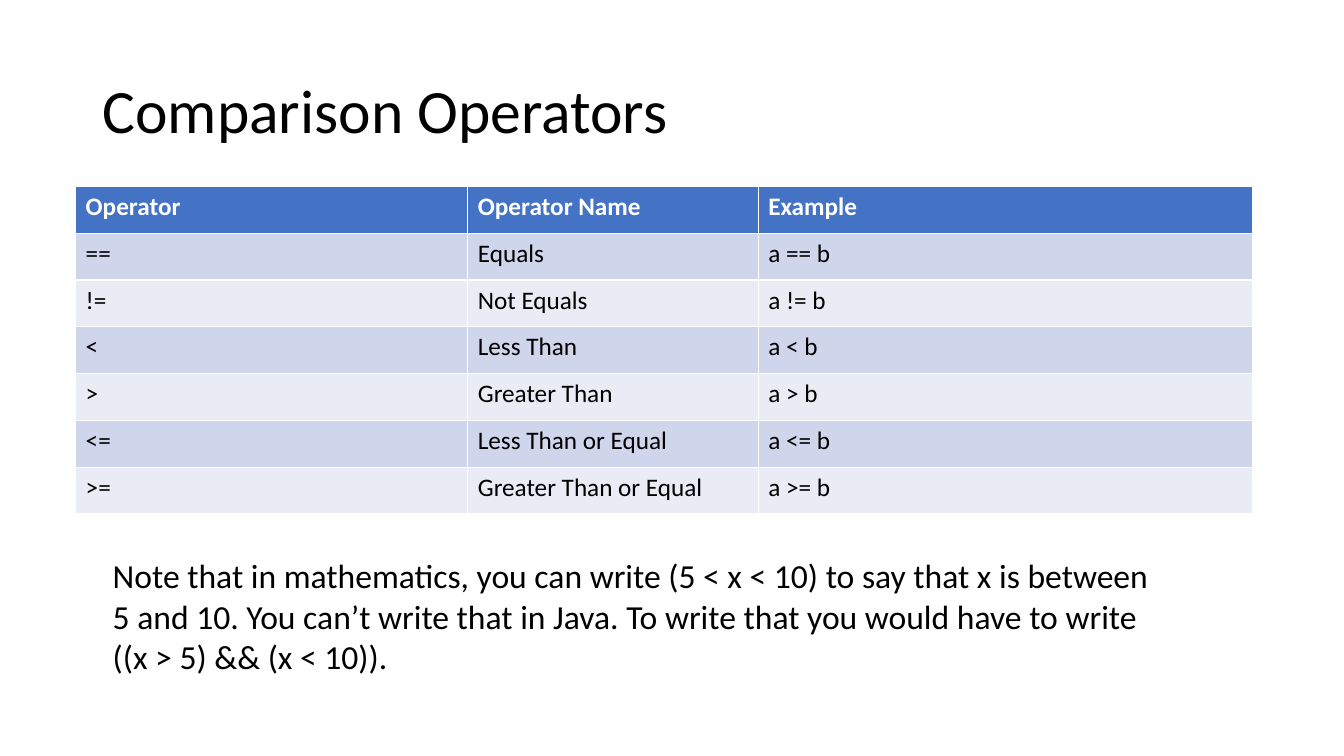
"""Build a slide that lists the comparison operators in a table."""
from pptx import Presentation
from pptx.dml.color import RGBColor
from pptx.enum.text import MSO_ANCHOR as Anchor

PX = 9144
FONT = "Calibri"
BLACK = RGBColor(0x00, 0x00, 0x00)
WHITE = RGBColor(0xFF, 0xFF, 0xFF)
HEADER_BLUE = RGBColor(0x44, 0x72, 0xC4)
BAND_DARK = RGBColor(0xCF, 0xD5, 0xEA)
BAND_LIGHT = RGBColor(0xE9, 0xEB, 0xF5)

COLUMN_WIDTHS = [389, 288, 490]
TABLE_HEIGHT = 325
OPERATORS = [
    ("==", "Equals"),
    ("!=", "Not Equals"),
    ("<", "Less Than"),
    (">", "Greater Than"),
    ("<=", "Less Than or Equal"),
    (">=", "Greater Than or Equal"),
]
ROWS = [("Operator", "Operator Name", "Example")]
ROWS += [(sign, name, f"a {sign} b") for sign, name in OPERATORS]
NOTE = (
    "Note that in mathematics, you can write (5 < x < 10) to say that x is between "
    "5 and 10. You can’t write that in Java. To write that you would have to write "
    "((x > 5) && (x < 10))."
)


def style_text(paragraph, size, color=BLACK, bold=False):
    font = paragraph.font
    font.name = FONT
    font.size = size * 12700
    font.color.rgb = color
    font.bold = bold


def add_text(page, bounds, text, size, anchor=Anchor.TOP):
    box = page.shapes.add_textbox(*(length * PX for length in bounds))
    frame = box.text_frame
    frame.word_wrap = True
    frame.vertical_anchor = anchor
    para = frame.paragraphs[0]
    para.text = text
    style_text(para, size)
    return para


deck = Presentation()
deck.slide_width = 1333 * PX
deck.slide_height = 750 * PX
page = deck.slides.add_slide(deck.slide_layouts[6])

title = add_text(page, (92, 40, 1150, 145), "Comparison Operators", 44, Anchor.MIDDLE)
title.line_spacing = 0.9

table = page.shapes.add_table(
    len(ROWS), len(COLUMN_WIDTHS),
    75 * PX, 185 * PX, sum(COLUMN_WIDTHS) * PX, TABLE_HEIGHT * PX,
).table
for column, width in zip(table.columns, COLUMN_WIDTHS):
    column.width = width * PX

for row_index, row in enumerate(ROWS):
    is_header = row_index == 0
    band = BAND_DARK if row_index % 2 else BAND_LIGHT
    for column_index, text in enumerate(row):
        cell = table.cell(row_index, column_index)
        cell.fill.solid()
        cell.fill.fore_color.rgb = HEADER_BLUE if is_header else band
        cell.text = text
        style_text(cell.text_frame.paragraphs[0], 18, WHITE if is_header else BLACK, is_header)

add_text(page, (102, 546, 1056, 131), NOTE, 24)

deck.save("out.pptx")
